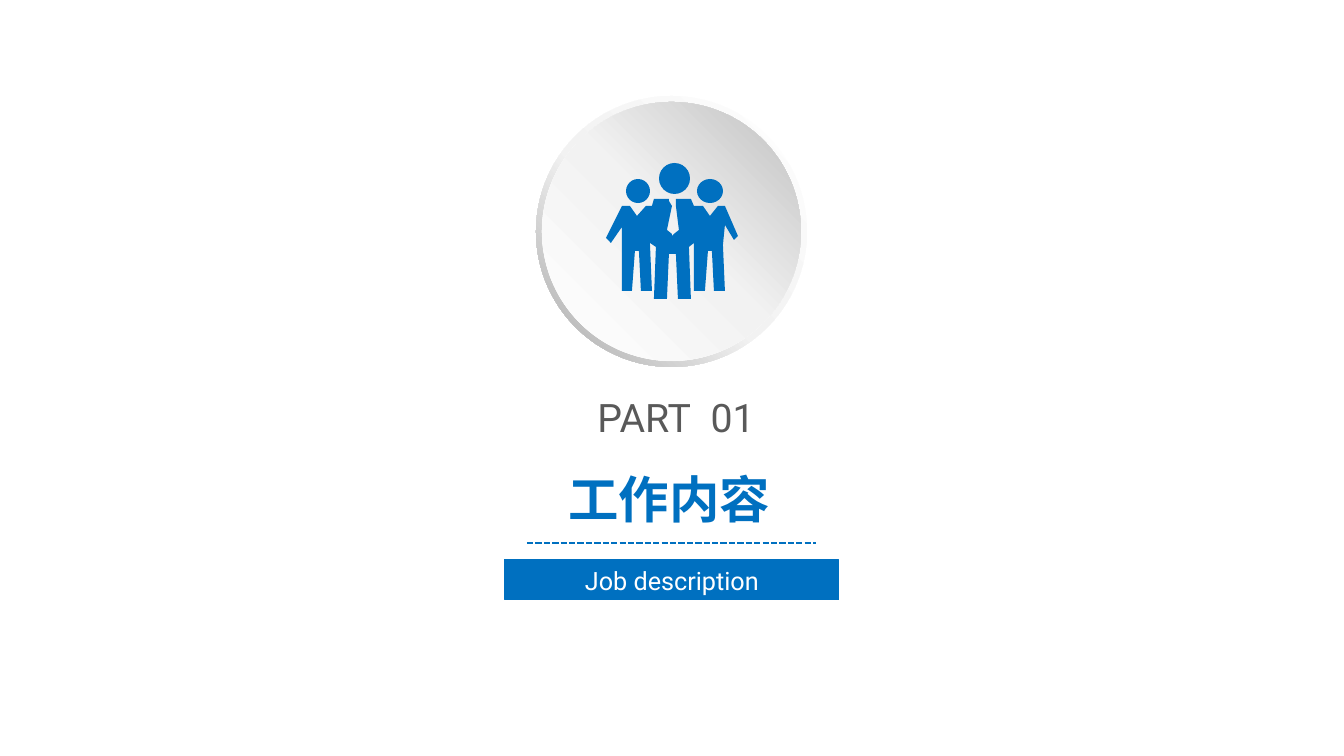
import copy

import pptx
import pptx.dml.color
import pptx.enum.dml
import pptx.enum.shapes
import pptx.enum.text
import pptx.oxml.ns
import pptx.util
from lxml import etree

RGBColor = pptx.dml.color.RGBColor
BLUE = RGBColor(0x00, 0x70, 0xC0)
WHITE = RGBColor(0xFF, 0xFF, 0xFF)
PALE = RGBColor(0xF2, 0xF2, 0xF2)
SILVER = RGBColor(0xBF, 0xBF, 0xBF)
GREY = RGBColor(0xA6, 0xA6, 0xA6)
DARK = RGBColor(0x59, 0x59, 0x59)

EMU_PER_PX = 914400 / 100.8
SHAPES = pptx.enum.shapes.MSO_SHAPE

# Left, top, width and height of each head
HEADS = [(626, 179, 24, 24), (659, 163, 31, 31), (697, 179, 26, 24)]
# Joined outline of the three bodies
BODIES = [
    (650, 243), (652, 291), (641, 291), (639, 251), (635, 251), (632, 291),
    (622, 291), (622, 227), (611, 243), (606, 238), (622, 206), (630, 206),
    (637, 216), (646, 206), (652, 206), (654, 199), (669, 199), (669, 201),
    (672, 206), (667, 230), (672, 234), (672, 236), (674, 234), (679, 230),
    (676, 206), (676, 199), (691, 199), (694, 206), (703, 206), (710, 216),
    (718, 206), (725, 206), (738, 236), (734, 240), (725, 225), (723, 245),
    (725, 291), (714, 291), (712, 251), (708, 251), (705, 291), (694, 291),
    (694, 243), (689, 247), (691, 299), (678, 299), (676, 254), (669, 254),
    (667, 299), (654, 299), (656, 247),
]


def px(length):
    return pptx.util.Emu(round(length * EMU_PER_PX))


def set_values(target, values):
    for name, value in values.items():
        setattr(target, name, value)


def paint(shape, color):
    shape.shadow.inherit = False
    shape.fill.solid()
    shape.fill.fore_color.rgb = color
    shape.line.fill.background()


def add_plain(shapes, kind, box, color):
    shape = shapes.add_shape(kind, *map(px, box))
    paint(shape, color)
    return shape


def add_gradient(shapes, kind, box, stops, angle):
    shape = add_plain(shapes, kind, box, WHITE)
    shape.fill.gradient()
    shape.fill.gradient_angle = angle
    first_stop = shape._element.spPr.find(".//" + pptx.oxml.ns.qn("a:gs"))
    first_stop.getparent().append(copy.deepcopy(first_stop))
    for stop, (position, color) in zip(shape.fill.gradient_stops, stops):
        stop.position = position
        stop.color.rgb = color
    return shape


def write(shape, runs, size, color, bold=False,
          anchor=pptx.enum.text.MSO_ANCHOR.TOP):
    """Write runs of (text, extra character spacing in points)."""
    set_values(shape.text_frame, {
        "word_wrap": True,
        "auto_size": pptx.enum.text.MSO_AUTO_SIZE.NONE,
        "vertical_anchor": anchor,
    })
    paragraph = shape.text_frame.paragraphs[0]
    paragraph.alignment = pptx.enum.text.PP_ALIGN.CENTER
    for text, spacing in runs:
        run = paragraph.add_run()
        run.text = text
        set_values(run.font, {
            "name": "Roboto", "size": pptx.util.Pt(size), "bold": bold})
        run.font.color.rgb = color
        if spacing:
            run._r.get_or_add_rPr().set("spc", str(spacing * 100))


def add_badge(slide):
    badge = slide.shapes.add_group_shape().shapes
    rim = add_gradient(badge, SHAPES.DONUT, (536, 96, 271, 271),
                       [(0, WHITE), (0.55, PALE), (1, GREY)], 225)
    rim.adjustments[0] = 0.02
    add_gradient(badge, SHAPES.OVAL, (542, 102, 259, 259),
                 [(0, WHITE), (0.51, PALE), (1, SILVER)], 45)
    for head in HEADS:
        add_plain(badge, SHAPES.OVAL, head, BLUE)
    outline = badge.build_freeform(*BODIES[0], scale=EMU_PER_PX)
    outline.add_line_segments(BODIES[1:], close=True)
    paint(outline.convert_to_shape(), BLUE)


def add_dashed_rule(slide, left, right, y):
    rule = slide.shapes.add_connector(
        pptx.enum.shapes.MSO_CONNECTOR.STRAIGHT,
        px(left), px(y), px(right), px(y))
    rule.line.color.rgb = BLUE
    set_values(rule.line, {
        "width": pptx.util.Pt(1.5),
        "dash_style": pptx.enum.dml.MSO_LINE.SQUARE_DOT,
    })
    etree.SubElement(rule._element.spPr, pptx.oxml.ns.qn("a:effectLst"))


def main():
    deck = pptx.Presentation()
    set_values(deck, {"slide_width": px(1344), "slide_height": px(756)})
    slide = deck.slides.add_slide(deck.slide_layouts[5])

    # Round badge with the team icon
    add_badge(slide)

    # Part number, with a widened space before the digits
    part = slide.shapes.add_textbox(*map(px, (578, 388, 196, 57)))
    write(part, [("PART", 0), (" ", 7), ("01", 0)], 28, DARK)

    # Section title
    title = slide.shapes.title
    set_values(title, {"left": px(502), "top": px(463),
                       "width": px(334), "height": px(72)})
    write(title, [("工作内容", 0)], 36, BLUE, bold=True)

    # Subtitle bar under a dashed rule
    bar = add_plain(slide.shapes, SHAPES.RECTANGLE, (505, 560, 334, 40), BLUE)
    bar.line.color.rgb = BLUE
    bar.line.width = pptx.util.Pt(0.75)
    write(bar, [("Job description", 0)], 18, WHITE,
          anchor=pptx.enum.text.MSO_ANCHOR.MIDDLE)
    add_dashed_rule(slide, 527, 816, 543)

    deck.save("out.pptx")


if __name__ == "__main__":
    main()
